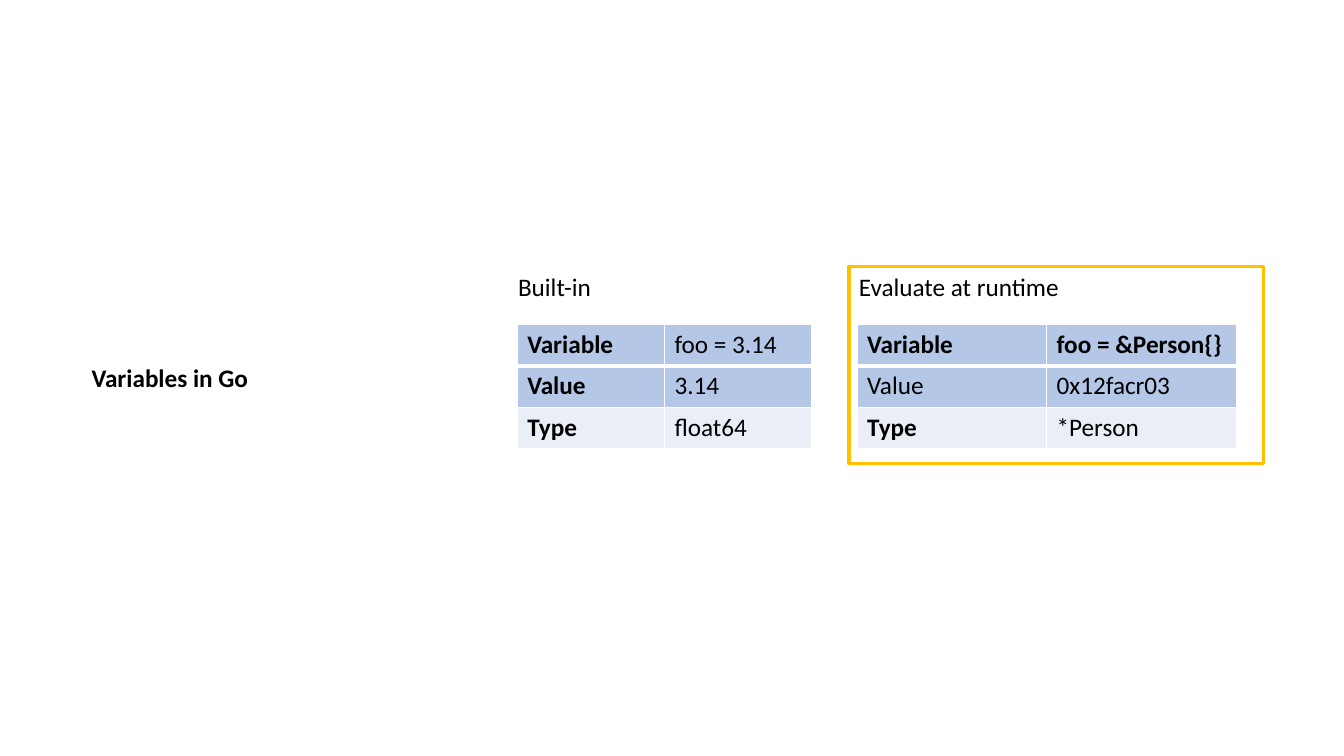
import pptx
import pptx.dml.color
import pptx.enum.shapes
import pptx.enum.text
import pptx.oxml
import pptx.oxml.ns
import pptx.util

SCALE = 9144
WHITE, BLACK, GOLD = "FFFFFF", "000000", "FFC000"
BLUE, PALE = "B4C7E7", "EAEFF7"
ROW = 41


def px(*sizes):
    """Turn px lengths into EMU at 100 px to the inch."""
    return [pptx.util.Emu(size * SCALE) for size in sizes]


def color(code):
    """Turn a hex string into a colour."""
    return pptx.dml.color.RGBColor.from_string(code)


def write(frame, text, size=18, bold=False, font="Calibri", ink=BLACK):
    """Put formatted text in the first paragraph of a frame."""
    run = frame.paragraphs[0].add_run()
    run.text = text
    run.font.size = pptx.util.Pt(size)
    run.font.bold = bold
    run.font.name = font
    run.font.color.rgb = color(ink)


def label(slide, box, text, wrap=False, **style):
    """Add a text box that grows with its text."""
    frame = slide.shapes.add_textbox(*px(*box)).text_frame
    frame.word_wrap = wrap
    frame.auto_size = pptx.enum.text.MSO_AUTO_SIZE.SHAPE_TO_FIT_TEXT
    write(frame, text, **style)


def border(cell, side, width):
    """Draw one white cell edge with a width in points."""
    line = pptx.oxml.parse_xml(
        f'<a:ln{side} {pptx.oxml.ns.nsdecls("a")} w="{pptx.util.Pt(width)}">'
        f'<a:solidFill><a:srgbClr val="{WHITE}"/></a:solidFill></a:ln{side}>'
    )
    cell._tc.get_or_add_tcPr().append(line)


def grid(slide, left, top, width, rows):
    """Add a table from rows of (text, bold) cells."""
    count = len(rows)
    box = px(left, top, width * 2, ROW * count)
    table = slide.shapes.add_table(count, 2, *box).table
    table.first_row = table.horz_banding = False
    for col in table.columns:
        col.width = px(width)[0]
    for i, row in enumerate(rows):
        table.rows[i].height = px(ROW)[0]
        for j, (text, bold) in enumerate(row):
            cell = table.cell(i, j)
            thick = {"T": i == 1, "B": i == 0}
            for side in "LRTB":
                border(cell, side, 3 if thick.get(side) else 1)
            cell.fill.solid()
            cell.fill.fore_color.rgb = color(PALE if i == 2 else BLUE)
            write(cell.text_frame, text, bold=bold)


def outline(slide, box, ink, width):
    """Add an unfilled rectangle."""
    kind = pptx.enum.shapes.MSO_SHAPE.RECTANGLE
    shape = slide.shapes.add_shape(kind, *px(*box))
    shape.shadow.inherit = False
    shape.fill.background()
    shape.line.color.rgb = color(ink)
    shape.line.width = pptx.util.Pt(width)


def main():
    """Build and save the slide."""
    deck = pptx.Presentation()
    deck.slide_width, deck.slide_height = px(1333, 750)
    slide = deck.slides.add_slide(deck.slide_layouts[6])
    label(slide, (81, 355, 320, 40), "Variables in Go", wrap=True, bold=True)
    grid(slide, 513, 322, 146, [
        [("Variable", True), ("foo = 3.14", False)],
        [("Value", True), ("3.14", False)],
        [("Type", True), ("float64", False)],
    ])
    grid(slide, 850, 322, 188, [
        [("Variable", True), ("foo = &Person{}", True)],
        [("Value", False), ("0x12facr03", False)],
        [("Type", True), ("*Person", False)],
    ])
    label(slide, (504, 264, 93, 40), "Built-in")
    label(slide, (842, 264, 221, 40), "Evaluate at runtime")
    outline(slide, (842, 264, 411, 196), GOLD, 2.25)
    deck.save("out.pptx")


if __name__ == "__main__":
    main()
